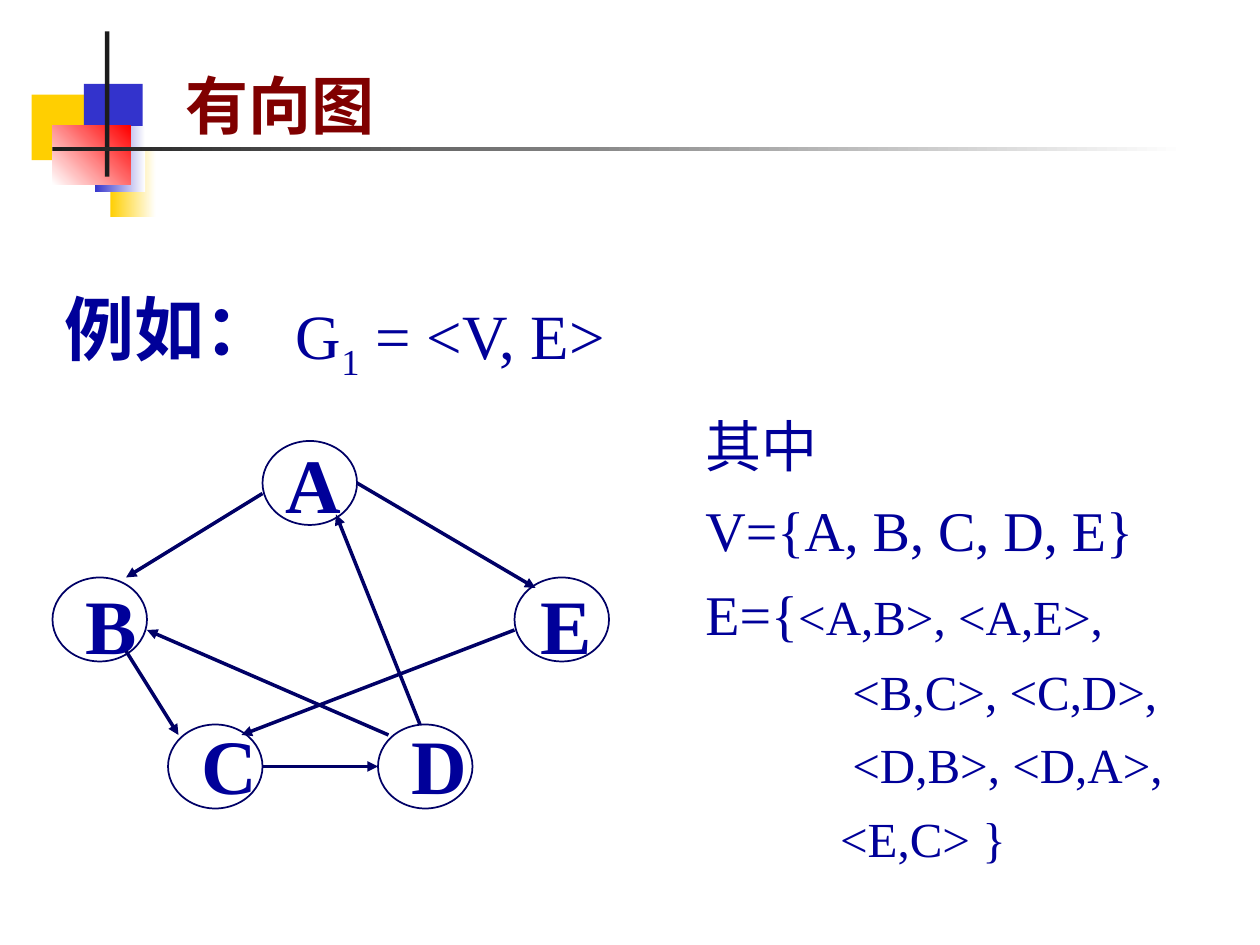
from lxml.etree import SubElement
from pptx import Presentation
from pptx.dml.color import RGBColor
from pptx.enum.shapes import MSO_CONNECTOR, MSO_SHAPE
from pptx.oxml.ns import qn
from pptx.util import Pt

COLORS = {
    "gold": "FFCF01", "blue": "3333CC", "red": "FF0000", "white": "FFFFFF",
    "ink": "1C1C1C", "title": "800000", "body": "000099", "graph": "000066",
}
HAN, LATIN = "Noto Sans CJK SC", "Times New Roman"
NODE_WIDTH, NODE_HEIGHT = 54, 48

# left, top, width, height, colours (two make a gradient), angle
ORNAMENTS = [
    (18, 54, 37.5, 37.5, ["gold"], 0),
    (63, 86.5, 26, 37.5, ["gold", "white"], 0),
    (48, 48, 33.5, 37.5, ["blue"], 0),
    (54, 72, 29, 37.5, ["blue", "white"], 0),
    (30, 72, 44.5, 33.5, ["white", "red"], 45),
    (60, 18, 2.5, 83, ["ink"], 0),
    (30, 84, 648, 2.5, ["ink", "white"], 0),
]
NODES = {"A": (150, 252), "B": (30, 330), "C": (96, 414), "D": (216, 414), "E": (294, 330)}
EDGES = [
    ((150, 282), (72, 330)),   # A to B
    ((72, 372), (102, 420)),   # B to C
    ((150, 438), (216, 438)),  # C to D
    ((240, 414), (192, 294)),  # D to A
    ((204, 276), (306, 336)),  # A to E
    ((222, 420), (84, 360)),   # D to B
    ((294, 360), (138, 420)),  # E to C
]


def rgb(name):
    return RGBColor.from_string(COLORS[name])


def add_ornament(slide, left, top, width, height, colors, angle):
    block = slide.shapes.add_shape(
        MSO_SHAPE.RECTANGLE, Pt(left), Pt(top), Pt(width), Pt(height))
    block.shadow.inherit = False
    block.line.fill.background()
    if len(colors) == 1:
        block.fill.solid()
        block.fill.fore_color.rgb = rgb(colors[0])
        return
    block.fill.gradient()
    block.fill.gradient_angle = angle
    for stop, color in zip(block.fill.gradient_stops, colors):
        stop.color.rgb = rgb(color)


def add_node(slide, left, top):
    node = slide.shapes.add_shape(
        MSO_SHAPE.OVAL, Pt(left), Pt(top), Pt(NODE_WIDTH), Pt(NODE_HEIGHT))
    node.shadow.inherit = False
    node.fill.background()
    node.line.color.rgb = rgb("graph")
    node.line.width = Pt(1)


def add_edge(slide, start, end):
    edge = slide.shapes.add_connector(
        MSO_CONNECTOR.STRAIGHT, *(Pt(value) for value in start + end))
    edge.line.color.rgb = rgb("graph")
    edge.line.width = Pt(2)
    SubElement(edge.line._get_or_add_ln(), qn("a:tailEnd"), type="triangle")
    SubElement(edge._element.spPr, qn("a:effectLst"))


def add_run(paragraph, text, size=36, font=LATIN, color="body", bold=False, baseline=0):
    run = paragraph.add_run()
    run.text = text
    run.font.size = Pt(size)
    run.font.bold = bold
    run.font.color.rgb = rgb(color)
    run.font.name = font
    properties = run.font._element
    SubElement(properties, qn("a:ea"), typeface=font)
    if baseline:
        properties.set("baseline", str(baseline * 1000))


def add_text(slide, box, lines, spacing=None, before=0):
    """Each line is (runs, indent, tabs); each run is (text, format)."""
    frame = slide.shapes.add_textbox(*(Pt(value) for value in box)).text_frame
    frame.word_wrap = True
    for index, (runs, indent, tabs) in enumerate(lines):
        paragraph = frame.add_paragraph() if index else frame.paragraphs[0]
        properties = paragraph._p.get_or_add_pPr()
        if indent:
            properties.set("marL", str(Pt(indent)))
            properties.set("indent", "0")
        if tabs:
            stops = SubElement(properties, qn("a:tabLst"))
            for tab in tabs:
                SubElement(stops, qn("a:tab"), pos=str(Pt(tab)), algn="l")
        if spacing:
            paragraph.line_spacing = spacing
        if before and index:
            paragraph.space_before = Pt(before)
        for text, style in runs:
            add_run(paragraph, text, **style)


def add_graph(slide):
    for left, top in NODES.values():
        add_node(slide, left, top)
    letter = {"size": 44, "bold": True}
    rows = [("\tA", [114]), ("B\tE", [260]), ("\tC\tD", [66, 186])]
    add_text(slide, (42, 246, 312, 221),
             [([(text, letter)], 0, tabs) for text, tabs in rows], before=27.5)
    for start, end in EDGES:
        add_edge(slide, start, end)


def add_definition(slide):
    large, small = {"size": 32}, {"size": 28}
    lines = [
        ([("其中", {"size": 32, "font": HAN})], 0, []),
        ([("V={A, B, C, D, E}", large)], 0, []),
        ([("E={", large), ("<A,B>, <A,E>,", small)], 0, []),
    ]
    pairs = [("<B,C>, <C,D>,", 84), ("<D,B>, <D,A>,", 84), ("<E,C> }", 77)]
    lines += [([(text, small)], indent, []) for text, indent in pairs]
    add_text(slide, (396, 222, 300, 277), lines, spacing=1.25)


def main():
    deck = Presentation()
    deck.slide_width, deck.slide_height = Pt(720), Pt(540)
    slide = deck.slides.add_slide(deck.slide_layouts[6])
    for ornament in ORNAMENTS:
        add_ornament(slide, *ornament)
    title = {"font": HAN, "color": "title", "bold": True}
    add_text(slide, (99, 26, 621, 59), [([("有向图", title)], 0, [])], spacing=1.2)
    add_graph(slide)
    example = {"size": 40, "font": HAN, "bold": True}
    add_text(slide, (30, 150, 137.5, 65), [([("例如：", example)], 0, [])], spacing=1.2)
    formula = [("G", {}), ("1", {"baseline": -25}), (" = <V, E>", {})]
    add_text(slide, (162, 156, 270, 66), [(formula, 0, [])], spacing=1.2)
    add_definition(slide)
    deck.save("out.pptx")


if __name__ == "__main__":
    main()
